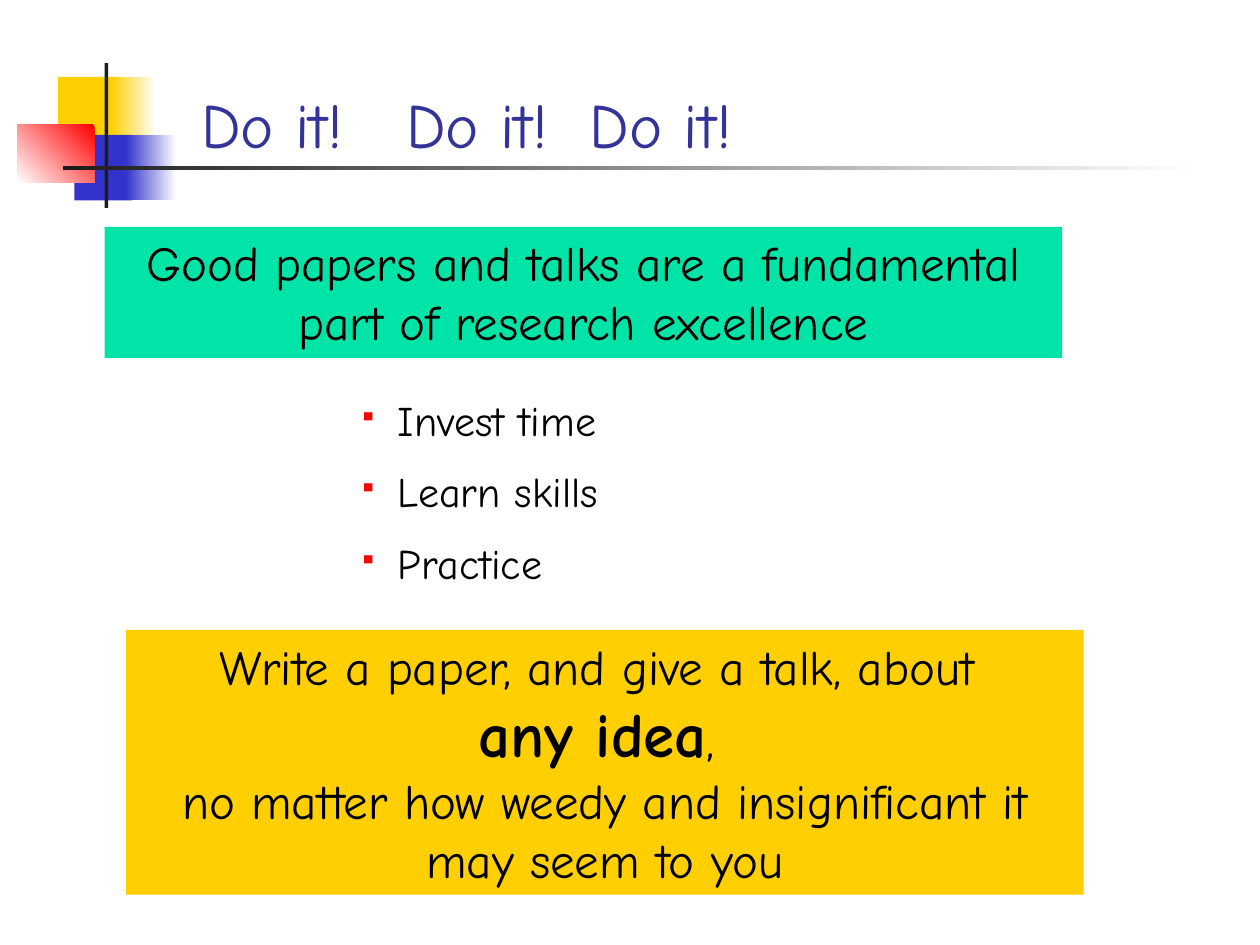
from lxml.etree import SubElement
from pptx import Presentation
from pptx.dml.color import RGBColor
from pptx.enum.shapes import MSO_SHAPE
from pptx.enum.text import MSO_ANCHOR, PP_ALIGN
from pptx.oxml.ns import qn
from pptx.util import Inches, Pt

FONT = "Comic Neue"
WHITE = RGBColor(0xFF, 0xFF, 0xFF)
BLACK = RGBColor(0x00, 0x00, 0x00)
CHARCOAL = RGBColor(0x1C, 0x1C, 0x1C)
GOLD = RGBColor(0xFF, 0xCF, 0x01)
BLUE = RGBColor(0x33, 0x33, 0xCC)
NAVY = RGBColor(0x33, 0x33, 0x99)
RED = RGBColor(0xFF, 0x00, 0x00)
MINT = RGBColor(0x00, 0xE4, 0xA8)

COLUMNS, ROWS = 100, 75
CELL = Inches(0.1)


def grid(*cells):
    return [round(count * CELL) for count in cells]


def add_block(page, cells, color, fade_from=None, angle=180):
    block = page.shapes.add_shape(MSO_SHAPE.RECTANGLE, *grid(*cells))
    block.shadow.inherit = False
    block.line.fill.background()
    if fade_from is None:
        block.fill.solid()
        block.fill.fore_color.rgb = color
    else:
        block.fill.gradient()
        block.fill.gradient_angle = angle
        for stop, shade in zip(block.fill.gradient_stops, (fade_from, color)):
            stop.color.rgb = shade
    return block


def add_span(para, words, size, color=BLACK, bold=False):
    span = para.add_run()
    span.text = words
    span.font.name = FONT
    span.font.size = Pt(size)
    span.font.bold = bold
    span.font.color.rgb = color


def add_title(page, cells, words):
    box = page.shapes.add_textbox(*grid(*cells))
    box.text_frame.word_wrap = True
    box.text_frame.vertical_anchor = MSO_ANCHOR.BOTTOM
    add_span(box.text_frame.paragraphs[0], words, 36, NAVY)


def add_banner(page, cells, color, lines):
    banner = add_block(page, cells, color)
    banner.text_frame.word_wrap = True
    banner.text_frame.vertical_anchor = MSO_ANCHOR.TOP
    para = banner.text_frame.paragraphs[0]
    para.alignment = PP_ALIGN.CENTER
    for index, line in enumerate(lines):
        if index:
            para.add_line_break()
        for words, size, bold in line:
            add_span(para, words, size, bold=bold)


def add_bullet(para):
    properties = para._p.get_or_add_pPr()
    indent = Inches(0.31)
    properties.set("marL", str(indent))
    properties.set("indent", str(-indent))
    color = SubElement(properties, qn("a:buClr"))
    SubElement(color, qn("a:srgbClr"), val=str(RED))
    SubElement(properties, qn("a:buSzPct"), val="60000")
    SubElement(properties, qn("a:buChar"), char="▪")


def add_bullet_list(page, cells, items):
    box = page.shapes.add_textbox(*grid(*cells))
    frame = box.text_frame
    frame.word_wrap = True
    for index, item in enumerate(items):
        para = frame.add_paragraph() if index else frame.paragraphs[0]
        add_bullet(para)
        if index:
            para.space_before = Pt(12)
        add_span(para, item, 24)


def add_ornament(page):
    add_block(page, (4.6, 6.1, 4.8, 5.2), GOLD)
    add_block(page, (8.8, 6.1, 3.6, 5.2), GOLD, WHITE)
    add_block(page, (5.9, 10.7, 4.6, 5.2), BLUE)
    add_block(page, (10, 10.7, 4, 5.2), BLUE, WHITE)
    add_block(page, (1.4, 9.9, 6.1, 4.6), WHITE, RED, 225)
    add_block(page, (8.3, 5, 0.3, 11.5), CHARCOAL)
    add_block(page, (5, 13.2, 90, 0.3), CHARCOAL, WHITE)


def main():
    deck = Presentation()
    deck.slide_width, deck.slide_height = grid(COLUMNS, ROWS)
    page = deck.slides.add_slide(deck.slide_layouts[6])
    add_ornament(page)
    add_title(page, (15, 0.8, 85.2, 12.5), "Do it!   Do it!  Do it!")
    add_banner(page, (8.3, 18, 76, 10.4), MINT, [
        [("Good papers and talks are a fundamental part of research excellence", 28, False)],
    ])
    add_bullet_list(page, (27.5, 30.8, 30.8, 16.4),
                    ["Invest time", "Learn skills", "Practice"])
    add_banner(page, (10, 50, 76, 21), GOLD, [
        [("Write a paper, and give a talk, about ", 28, False)],
        [("any idea", 36, True), (", ", 28, False)],
        [("no matter how weedy and insignificant it may seem to you", 28, False)],
    ])
    deck.save("out.pptx")


if __name__ == "__main__":
    main()
